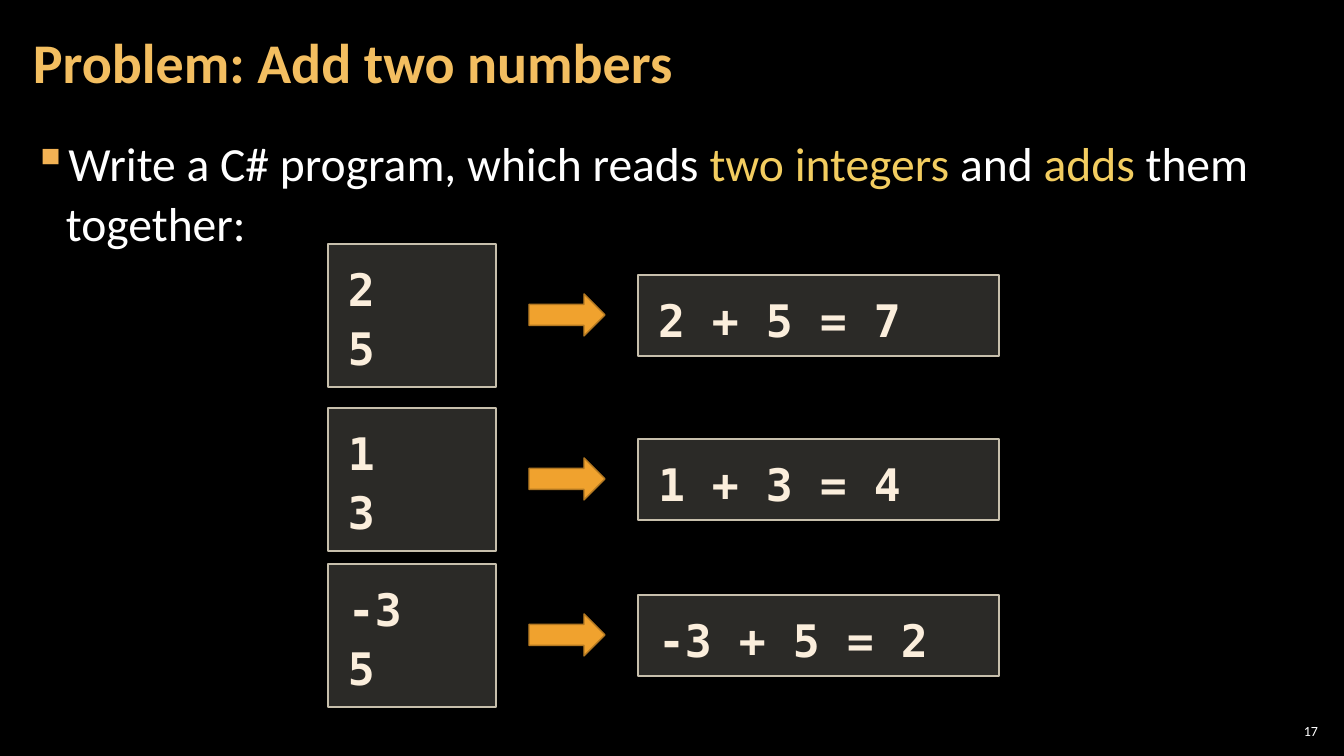
import pptx
import pptx.util
import pptx.dml.color
import pptx.enum.shapes
import pptx.enum.text
import pptx.oxml
import pptx.oxml.ns
import lxml.etree

RGBColor = pptx.dml.color.RGBColor
BLACK = RGBColor(0x00, 0x00, 0x00)
WHITE = RGBColor(0xFF, 0xFF, 0xFF)
TITLE_GOLD = RGBColor(0xF3, 0xBE, 0x60)
BULLET_ORANGE = RGBColor(0xF2, 0xB2, 0x54)
KEYWORD_YELLOW = RGBColor(0xF3, 0xCD, 0x60)
CODE_CREAM = RGBColor(0xFB, 0xEE, 0xDC)
CODE_FILL = RGBColor(0xD9, 0xD5, 0xC7)
CODE_LINE = RGBColor(0xC7, 0xBF, 0xAC)
ARROW_FILL = RGBColor(0xF0, 0xA2, 0x2E)
ARROW_LINE = RGBColor(0xB2, 0x78, 0x22)

SLIDE_W, SLIDE_H = 1344, 756
EMU_PER_PX = 12192000 / SLIDE_W
TEXT_FONT = "Calibri"
CODE_FONT = "DejaVu Sans Mono"
MSO_SHAPE = pptx.enum.shapes.MSO_SHAPE
PP_ALIGN = pptx.enum.text.PP_ALIGN
MSO_ANCHOR = pptx.enum.text.MSO_ANCHOR


def px(n):
    return pptx.util.Emu(round(n * EMU_PER_PX))


def set_frame(tf, inset_x, inset_y, anchor):
    tf.word_wrap = True
    tf.vertical_anchor = anchor
    tf.margin_left = tf.margin_right = px(inset_x)
    tf.margin_top = tf.margin_bottom = px(inset_y)


def add_run(p, text, size, color, font=TEXT_FONT, bold=False):
    r = p.add_run()
    r.text = text
    r.font.name = font
    r.font.size = pptx.util.Pt(size)
    r.font.bold = bold
    r.font.color.rgb = color


def add_text_box(s, box, inset_x, anchor):
    tf = s.shapes.add_textbox(*map(px, box)).text_frame
    set_frame(tf, inset_x, 4, anchor)
    return tf.paragraphs[0]


def add_title(s, box, text):
    p = add_text_box(s, box, 12, MSO_ANCHOR.MIDDLE)
    p.line_spacing = 0.9
    add_run(p, text, 40, TITLE_GOLD, bold=True)


def add_task(s, box, parts):
    p = add_text_box(s, box, 12, MSO_ANCHOR.TOP)
    p.line_spacing = 1.05
    p.space_before = p.space_after = pptx.util.Pt(6)
    pPr = p._p.get_or_add_pPr()
    pPr.set("marL", str(px(33)))
    pPr.set("indent", str(px(-33)))
    bullet_color = lxml.etree.SubElement(pPr, pptx.oxml.ns.qn("a:buClr"))
    lxml.etree.SubElement(bullet_color, pptx.oxml.ns.qn("a:srgbClr"), val=str(BULLET_ORANGE))
    lxml.etree.SubElement(pPr, pptx.oxml.ns.qn("a:buChar"), char="▪")
    for text, color in parts:
        add_run(p, text, 34, color)


def add_page_number(s, box, number):
    p = add_text_box(s, box, 4, MSO_ANCHOR.MIDDLE)
    p.alignment = PP_ALIGN.RIGHT
    add_run(p, number, 10, WHITE)


def add_filled_shape(s, kind, box, fill, line):
    sp = s.shapes.add_shape(kind, *map(px, box))
    sp.shadow.inherit = False
    sp.fill.solid()
    sp.fill.fore_color.rgb = fill
    sp.line.color.rgb = line
    sp.line.width = pptx.util.Pt(1)
    return sp


def add_code_box(s, box, lines):
    sp = add_filled_shape(s, MSO_SHAPE.RECTANGLE, box, CODE_FILL, CODE_LINE)
    color = sp._element.spPr.find(pptx.oxml.ns.qn("a:solidFill"))[0]
    lxml.etree.SubElement(color, pptx.oxml.ns.qn("a:alpha"), val="20000")
    tf = sp.text_frame
    set_frame(tf, 20, 12, MSO_ANCHOR.TOP)
    tf.auto_size = pptx.enum.text.MSO_AUTO_SIZE.SHAPE_TO_FIT_TEXT
    for i, line in enumerate(lines):
        p = tf.add_paragraph() if i else tf.paragraphs[0]
        p.alignment = PP_ALIGN.LEFT
        p.line_spacing = 1.1
        add_run(p, line, 32, CODE_CREAM, CODE_FONT, True)


def add_example(s, box, a, b, total):
    x, y, w, h = box
    output_w, output_h, arrow_h = 361, 81, 42
    add_code_box(s, (x, y, 168, h), [a, b])
    output_box = (x + w - output_w, y + (h - output_h) // 2, output_w, output_h)
    add_code_box(s, output_box, [f"{a} + {b} = {total}"])
    arrow_box = (x + 201, y + (h - arrow_h) // 2, 76, arrow_h)
    add_filled_shape(s, MSO_SHAPE.RIGHT_ARROW, arrow_box, ARROW_FILL, ARROW_LINE)


def main():
    prs = pptx.Presentation()
    prs.slide_width, prs.slide_height = px(SLIDE_W), px(SLIDE_H)
    s = prs.slides.add_slide(prs.slide_layouts[6])
    s.background.fill.solid()
    s.background.fill.fore_color.rgb = BLACK

    add_page_number(s, (1275, 720, 47, 21), "17")
    add_task(s, (21, 127, 1301, 614), [
        ("Write a C# program, which reads ", WHITE),
        ("two integers", KEYWORD_YELLOW),
        (" and ", WHITE),
        ("adds", KEYWORD_YELLOW),
        (" them together:", WHITE),
    ])
    add_title(s, (21, 4, 1055, 122), "Problem: Add two numbers")
    examples = [(244, "2", "5", "7"), (408, "1", "3", "4"), (564, "-3", "5", "2")]
    for y, a, b, total in examples:
        add_example(s, (328, y, 671, 143), a, b, total)
    prs.save("out.pptx")


if __name__ == "__main__":
    main()
